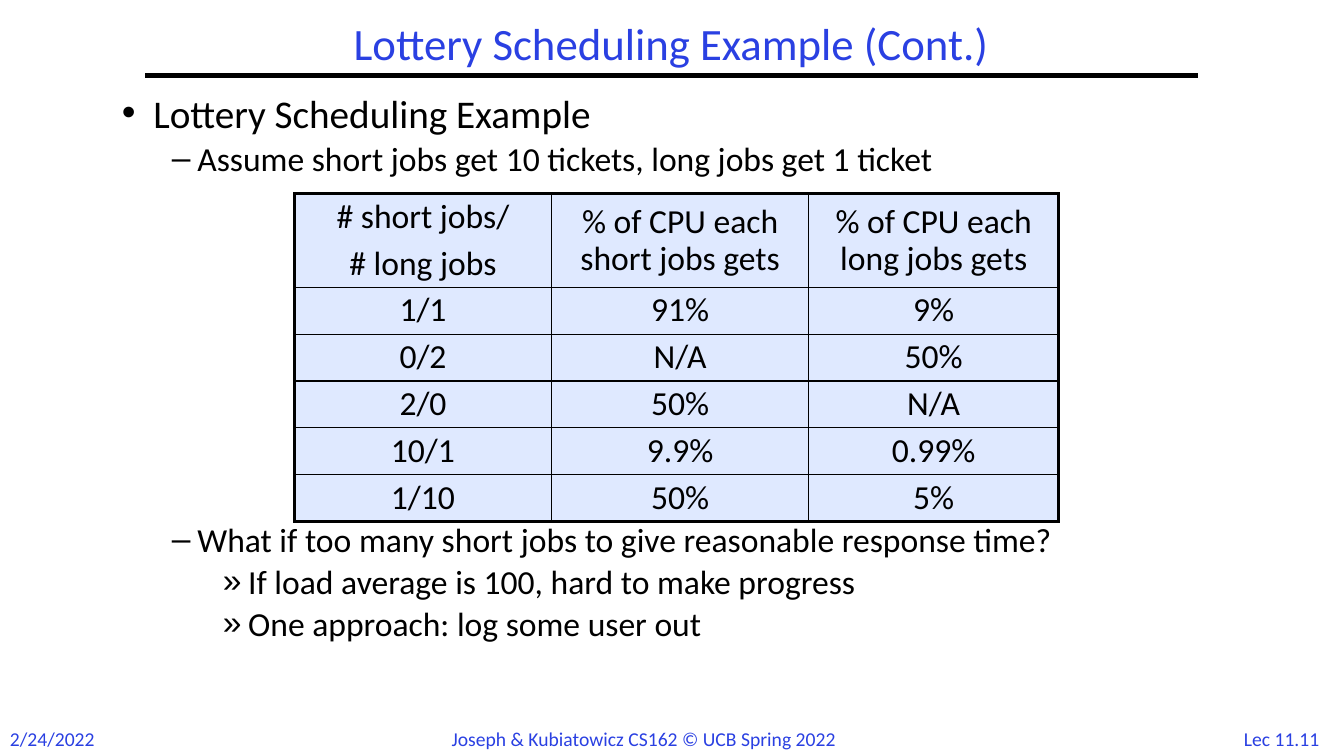
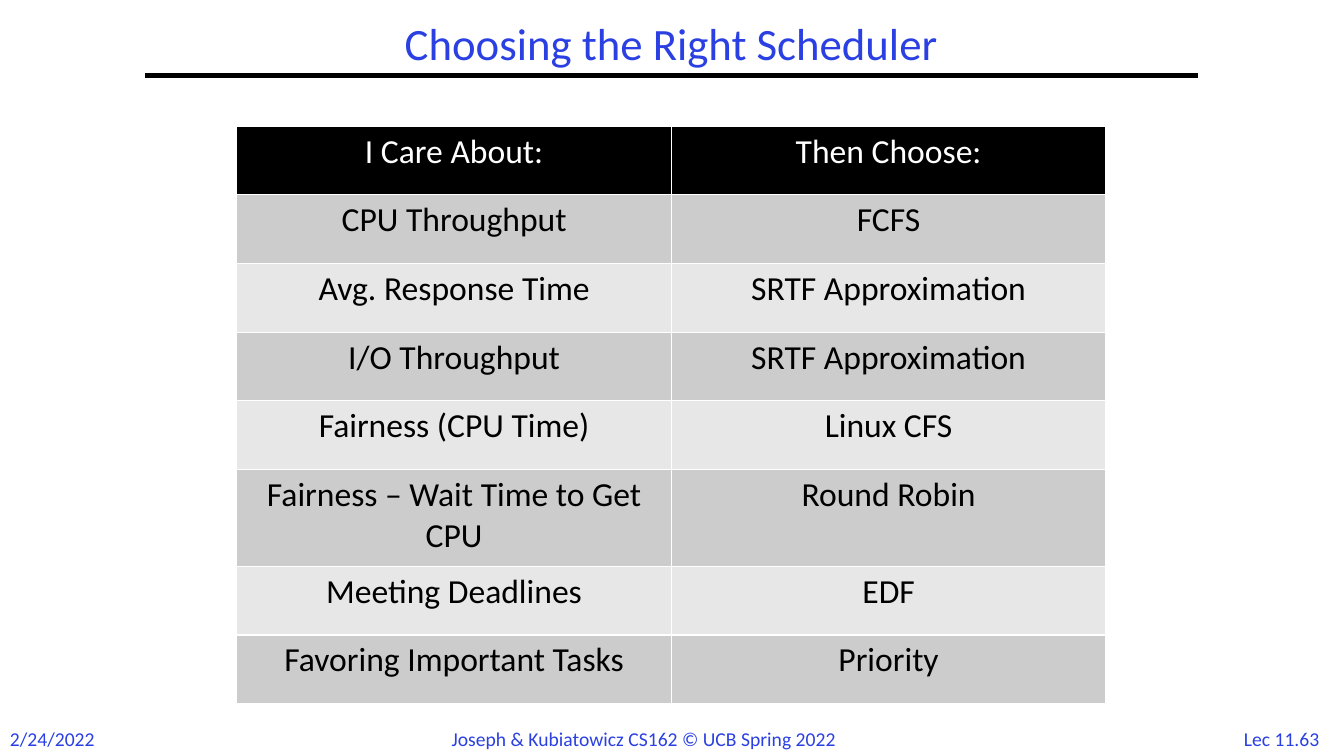
from dataclasses import dataclass

import pptx
import pptx.dml.color
import pptx.enum.shapes
import pptx.enum.text
import pptx.oxml.ns
import pptx.util
from lxml import etree

Cm = pptx.util.Cm
Pt = pptx.util.Pt
ALIGN = pptx.enum.text.PP_ALIGN
ANCHOR = pptx.enum.text.MSO_ANCHOR
AUTO_SIZE = pptx.enum.text.MSO_AUTO_SIZE
qn = pptx.oxml.ns.qn


@dataclass(frozen=True)
class Theme:
    font: str = "Calibri"
    blue: str = "2A40E2"
    black: str = "000000"
    white: str = "FFFFFF"
    pale_blue: str = "DFE9FF"
    dark_band: str = "CCCCCC"
    light_band: str = "E7E7E7"
    title_size: int = 32
    heading_size: int = 28
    text_size: int = 24
    footer_size: int = 14
    gap: float = 7.2


THEME = Theme()

# Bullet, left margin, hanging indent (cm) and type size of each list level
LEVELS = (
    ("•", 0.79, 0.79, THEME.heading_size),
    ("–", 1.9, 0.64, THEME.text_size),
    ("»", 3.18, 0.64, THEME.text_size),
)


def rgb(color):
    return pptx.dml.color.RGBColor.from_string(color)


def write_text(frame, text, *, size=THEME.text_size, color=THEME.black,
               align=ALIGN.LEFT, spacing=1.0, gap=0):
    """Fill a text frame, one paragraph per line of text."""
    for index, line in enumerate(text.split("\n")):
        paragraph = frame.paragraphs[0] if index == 0 else frame.add_paragraph()
        paragraph.alignment = align
        paragraph.line_spacing = spacing
        paragraph.space_before = Pt(gap if index else 0)
        run = paragraph.add_run()
        run.text = line
        run.font.name = THEME.font
        run.font.size = Pt(size)
        run.font.color.rgb = rgb(color)


def set_bullet(paragraph, level):
    bullet, margin, hanging, _ = LEVELS[level]
    paragraph.level = level
    properties = paragraph._p.get_or_add_pPr()
    properties.set("marL", str(Cm(margin)))
    properties.set("indent", str(-Cm(hanging)))
    etree.SubElement(properties, qn("a:buChar"), char=bullet)


def set_borders(cell, color, widths):
    """Draw the left, right, top and bottom borders of a cell."""
    properties = cell._tc.get_or_add_tcPr()
    for index, (side, width) in enumerate(zip("LRTB", widths)):
        line = etree.Element(qn(f"a:ln{side}"), w=str(Pt(width)))
        fill = etree.SubElement(line, qn("a:solidFill"))
        etree.SubElement(fill, qn("a:srgbClr"), val=color)
        properties.insert(index, line)


class Deck:
    TITLE_AND_BODY, TITLE_ONLY = 1, 5

    def __init__(self):
        self.presentation = pptx.Presentation()
        self.presentation.slide_width = Cm(33.87)
        self.presentation.slide_height = Cm(19.05)
        self.slide = None

    def add_slide(self, layout, title, number):
        layouts = self.presentation.slide_layouts
        self.slide = self.presentation.slides.add_slide(layouts[layout])
        self.add_title(title)
        self.add_footer(0, 2.72, "2/24/2022")
        self.add_footer(11.13, 11.56, "Joseph & Kubiatowicz CS162 © UCB Spring 2022")
        self.add_footer(30.94, 2.72, number, ALIGN.CENTER)

    def place(self, shape, left, top, width, height, anchor):
        shape.left, shape.top = Cm(left), Cm(top)
        shape.width, shape.height = Cm(width), Cm(height)
        frame = shape.text_frame
        frame.auto_size = AUTO_SIZE.NONE
        frame.word_wrap = True
        frame.vertical_anchor = anchor
        return frame

    def add_title(self, text):
        frame = self.place(self.slide.shapes.title, 3.66, 0.43, 26.52, 1.47,
                           ANCHOR.MIDDLE)
        write_text(frame, text, size=THEME.title_size, color=THEME.blue,
                   align=ALIGN.CENTER, spacing=0.9)
        rule = self.slide.shapes.add_connector(
            pptx.enum.shapes.MSO_CONNECTOR.STRAIGHT,
            Cm(3.66), Cm(1.9), Cm(30.2), Cm(1.9))
        rule.line.color.rgb = rgb(THEME.black)
        rule.line.width = Pt(3)
        etree.SubElement(rule._element.spPr, qn("a:effectLst"))

    def add_footer(self, left, width, text, align=ALIGN.LEFT):
        box = self.slide.shapes.add_textbox(Cm(left), Cm(18.19), Cm(width), Cm(0.86))
        box.text_frame.word_wrap = False
        box.text_frame.auto_size = AUTO_SIZE.SHAPE_TO_FIT_TEXT
        write_text(box.text_frame, text, size=THEME.footer_size,
                   color=THEME.blue, align=align)

    def add_list(self, items):
        """Fill the body with (level, text, space before) items."""
        frame = self.place(self.slide.placeholders[1], 2.82, 2.34, 28.93, 15.67,
                           ANCHOR.TOP)
        for index, (level, text, gap) in enumerate(items):
            paragraph = frame.paragraphs[0] if index == 0 else frame.add_paragraph()
            paragraph.line_spacing = 0.8
            paragraph.space_before = Pt(gap)
            set_bullet(paragraph, level)
            run = paragraph.add_run()
            run.text = text
            run.font.name = THEME.font
            run.font.size = Pt(LEVELS[level][3])
            run.font.color.rgb = rgb(THEME.black)

    def add_table(self, left, top, widths, heights, rows, *, fills, line_color,
                  outer=1, header_color=THEME.black, anchor=ANCHOR.TOP,
                  spacing=1.0):
        """Add a table; fills holds the header colour, then the band colours."""
        table = self.slide.shapes.add_table(
            len(rows), len(widths), Cm(left), Cm(top),
            Cm(sum(widths)), Cm(sum(heights))).table
        table.first_row = table.horz_banding = False
        for column, width in zip(table.columns, widths):
            column.width = Cm(width)
        last_row, last_column = len(rows) - 1, len(widths) - 1
        header_fill, *bands = fills
        for r, texts in enumerate(rows):
            table.rows[r].height = Cm(heights[r])
            for c, text in enumerate(texts):
                cell = table.cell(r, c)
                cell.vertical_anchor = anchor
                cell.fill.solid()
                cell.fill.fore_color.rgb = rgb(
                    bands[(r - 1) % len(bands)] if r else header_fill)
                edges = (c == 0, c == last_column, r == 0, r == last_row)
                set_borders(cell, line_color,
                            [outer if edge else 1 for edge in edges])
                write_text(cell.text_frame, text, align=ALIGN.CENTER,
                           color=THEME.black if r else header_color,
                           spacing=spacing, gap=THEME.gap)


def build_lottery_slide(deck):
    deck.add_slide(deck.TITLE_AND_BODY, "Lottery Scheduling Example (Cont.)",
                   "Lec 11.11")
    # The large gap leaves room for the table
    deck.add_list([
        (0, "Lottery Scheduling Example", 0),
        (1, "Assume short jobs get 10 tickets, long jobs get 1 ticket", THEME.gap),
        (1, "What if too many short jobs to give reasonable response time?", 249),
        (2, "If load average is 100, hard to make progress", THEME.gap),
        (2, "One approach: log some user out", THEME.gap),
    ])
    rows = [
        ("# short jobs/\n# long jobs", "% of CPU each short jobs gets",
         "% of CPU each long jobs gets"),
        ("1/1", "91%", "9%"),
        ("0/2", "N/A", "50%"),
        ("2/0", "50%", "N/A"),
        ("10/1", "9.9%", "0.99%"),
        ("1/10", "50%", "5%"),
    ]
    deck.add_table(7.42, 4.88, [6.48, 6.48, 6.3], [2.36] + [1.18] * 5, rows,
                   fills=(THEME.pale_blue, THEME.pale_blue),
                   line_color=THEME.black, outer=2.25,
                   anchor=ANCHOR.MIDDLE, spacing=0.9)


def build_choice_slide(deck):
    deck.add_slide(deck.TITLE_ONLY, "Choosing the Right Scheduler", "Lec 11.63")
    rows = [
        ("I Care About:", "Then Choose:"),
        ("CPU Throughput", "FCFS"),
        ("Avg. Response Time", "SRTF Approximation"),
        ("I/O Throughput", "SRTF Approximation"),
        ("Fairness (CPU Time)", "Linux CFS"),
        ("Fairness – Wait Time to Get CPU", "Round Robin"),
        ("Meeting Deadlines", "EDF"),
        ("Favoring Important Tasks", "Priority"),
    ]
    heights = [1.73] * 5 + [2.44] + [1.73] * 2
    deck.add_table(5.97, 3.18, [10.95] * 2, heights, rows,
                   fills=(THEME.black, THEME.dark_band, THEME.light_band),
                   line_color=THEME.white, header_color=THEME.white)


def main():
    deck = Deck()
    build_lottery_slide(deck)
    build_choice_slide(deck)
    deck.presentation.save("out.pptx")


if __name__ == "__main__":
    main()
